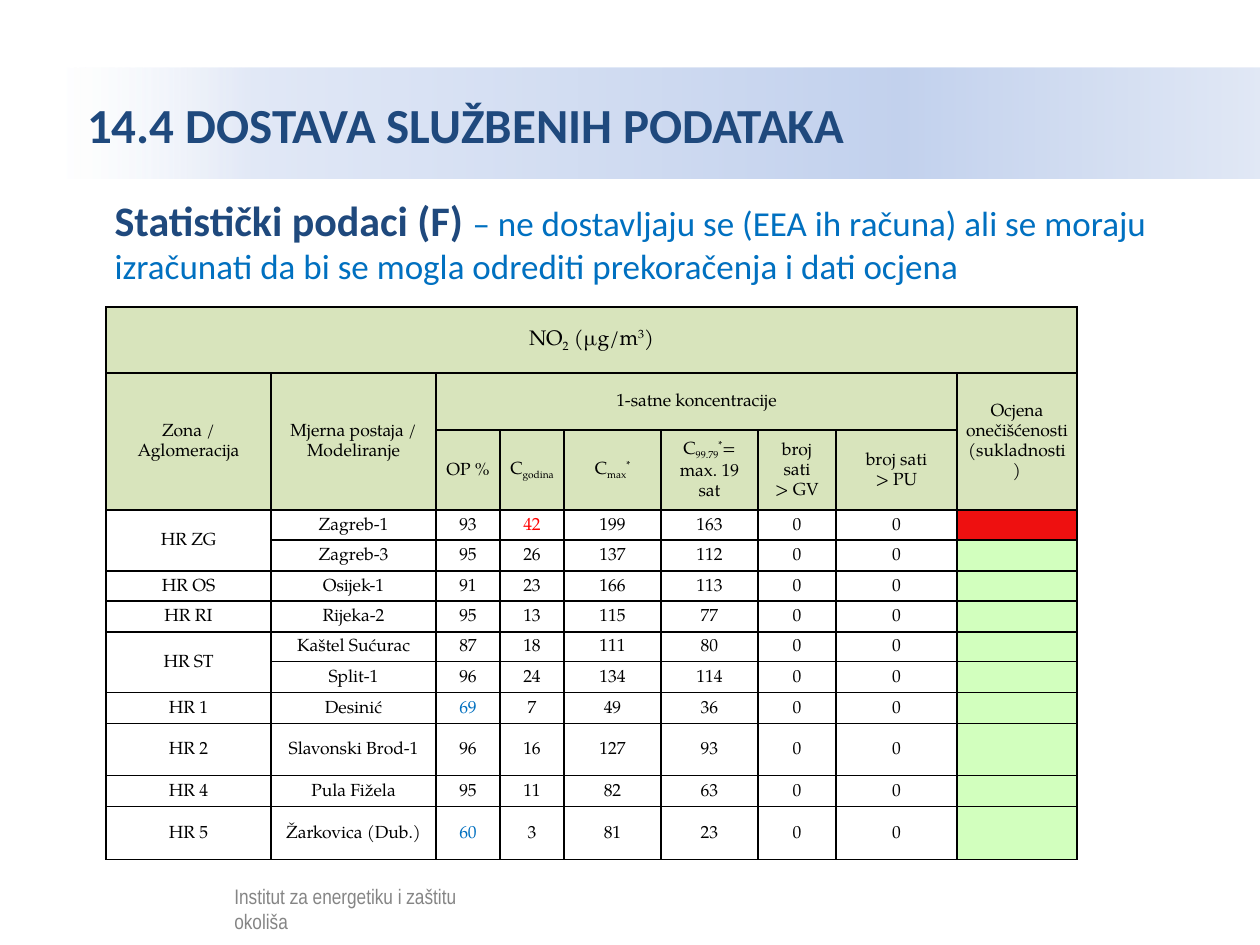
from typing import NamedTuple

import lxml.etree
import pptx
import pptx.dml.color
import pptx.enum.shapes
import pptx.enum.text
import pptx.oxml.ns
import pptx.table
import pptx.util

PX = 914400 / 126
SERIF = "TeX Gyre Pagella"
SUB, SUPER = -25000, 30000
MIN_COVERAGE, ANNUAL_LIMIT = 75, 40
COLORS = {
    "navy": "1F497D", "blue": "0070C0", "black": "000000", "red": "FF0000",
    "white": "FFFFFF", "header": "D8E4BC", "good": "D2FFBE", "bad": "EE1010",
    "band_light": "E1E8F6", "band_mid": "C2D1ED", "band_end": "E1E8F5",
}
BAND = [(0, "white", 52), (16, "band_light", 100),
        (70, "band_mid", 100), (100, "band_end", 100)]
COLS = [165, 165, 64, 64, 97, 97, 78, 121, 120]
ROWS = [66, 57, 80, 30, 31, 30, 31, 30, 31, 31, 52, 31, 53]


class Run(NamedTuple):
    text: str
    baseline: int = 0


class Header(NamedTuple):
    row: int
    col: int
    runs: list[Run]
    rows: int = 1
    cols: int = 1
    size: int = 10


class Station(NamedTuple):
    zone: str
    name: str
    coverage: int
    mean: int
    peak: int
    percentile: int
    span: int = 1


HEADERS = [
    Header(0, 0, [Run("NO"), Run("2", SUB), Run(" (µg/m"), Run("3", SUPER), Run(")")],
           cols=9, size=12),
    Header(1, 0, [Run("Zona / Aglomeracija")], rows=2),
    Header(1, 1, [Run("Mjerna postaja / Modeliranje")], rows=2),
    Header(1, 2, [Run("1-satne koncentracije")], cols=6),
    Header(1, 8, [Run("Ocjena\nonečišćenosti\n(sukladnosti)")], rows=2),
    Header(2, 2, [Run("OP %")]),
    Header(2, 3, [Run("C"), Run("godina", SUB)]),
    Header(2, 4, [Run("C"), Run("max", SUB), Run("*", SUPER)]),
    Header(2, 5, [Run("C"), Run("99.79", SUB), Run("*", SUPER), Run("=\nmax. 19 sat")]),
    Header(2, 6, [Run("broj sati\n> GV")]),
    Header(2, 7, [Run("broj sati\n> PU")]),
]
STATIONS = [
    Station("HR ZG", "Zagreb-1", 93, 42, 199, 163, 2),
    Station("", "Zagreb-3", 95, 26, 137, 112),
    Station("HR OS", "Osijek-1", 91, 23, 166, 113),
    Station("HR RI", "Rijeka-2", 95, 13, 115, 77),
    Station("HR ST", "Kaštel Sućurac", 87, 18, 111, 80, 2),
    Station("", "Split-1", 96, 24, 134, 114),
    Station("HR 1", "Desinić", 69, 7, 49, 36),
    Station("HR 2", "Slavonski Brod-1", 96, 16, 127, 93),
    Station("HR 4", "Pula Fižela", 95, 11, 82, 63),
    Station("HR 5", "Žarkovica (Dub.)", 60, 3, 81, 23),
]


def px(n: int) -> int:
    return round(n * PX)


def rgb(name: str) -> pptx.dml.color.RGBColor:
    return pptx.dml.color.RGBColor.from_string(COLORS[name])


def sub(parent, tag: str, **attrs):
    return lxml.etree.SubElement(parent, pptx.oxml.ns.qn(tag), attrs)


def place(sp, left: int, top: int, width: int, height: int) -> None:
    sp.left, sp.top, sp.width, sp.height = map(px, (left, top, width, height))


def style(r, font: str, size: int, color: str, bold: bool = False) -> None:
    r.font.name, r.font.size, r.font.bold = font, pptx.util.Pt(size), bold
    r.font.color.rgb = rgb(color)


def draw_title(sp) -> None:
    place(sp, 63, 68, 1197, 111)
    sp.fill.gradient()
    sp.fill.gradient_angle = 0
    stops = sp.fill._xPr.find(".//" + pptx.oxml.ns.qn("a:gsLst"))
    stops[:] = []
    for pos, color, alpha in BAND:
        clr = sub(sub(stops, "a:gs", pos=str(pos * 1000)), "a:srgbClr", val=COLORS[color])
        sub(clr, "a:alpha", val=str(alpha * 1000))
    tf = sp.text_frame
    tf.text = "14.4 DOSTAVA SLUŽBENIH PODATAKA"
    tf.auto_size = pptx.enum.text.MSO_AUTO_SIZE.NONE
    tf.vertical_anchor = pptx.enum.text.MSO_ANCHOR.MIDDLE
    tf.margin_left = px(24)
    p = tf.paragraphs[0]
    p.alignment = pptx.enum.text.PP_ALIGN.LEFT
    style(p.runs[0], "Calibri", 28, "navy", True)


def draw_body(sp) -> None:
    place(sp, 39, 188, 1177, 113)
    tf = sp.text_frame
    tf.auto_size = pptx.enum.text.MSO_AUTO_SIZE.NONE
    p = tf.paragraphs[0]
    p.level = 1
    pPr = p._p.get_or_add_pPr()
    pPr.set("marL", str(px(63)))
    pPr.set("indent", "0")
    sub(pPr, "a:buNone")
    p.space_before = pptx.util.Pt(0)
    p.text = "Statistički podaci (F) "
    style(p.runs[0], "Calibri", 24, "navy", True)
    r = p.add_run()
    r.text = ("– ne dostavljaju se (EEA ih računa) ali se moraju izračunati "
              "da bi se mogla odrediti prekoračenja i dati ocjena")
    style(r, "Calibri", 20, "blue")


def draw_footer(s) -> None:
    group = s.shapes.add_group_shape()
    box = group.shapes.add_textbox(px(222), px(877), px(263), px(32))
    tf = box.text_frame
    tf.word_wrap = True
    tf.text = "Institut za energetiku i zaštitu okoliša"
    style(tf.paragraphs[0].runs[0], "Arial Narrow", 12, "black")
    veil = group.shapes.add_shape(pptx.enum.shapes.MSO_SHAPE.RECTANGLE,
                                  px(52), px(873), px(481), px(60))
    veil.shadow.inherit = False
    veil.line.fill.background()
    veil.fill.solid()
    veil.fill.fore_color.rgb = rgb("white")
    sub(veil.fill._xPr.find(".//" + pptx.oxml.ns.qn("a:srgbClr")), "a:alpha", val="52000")


def prepare_cell(cell: pptx.table._Cell) -> None:
    tcPr = cell._tc.get_or_add_tcPr()
    for side in ("a:lnL", "a:lnR", "a:lnT", "a:lnB"):
        ln = sub(tcPr, side, w="12700")
        sub(sub(ln, "a:solidFill"), "a:srgbClr", val=COLORS["black"])
    cell.fill.background()
    cell.margin_left = cell.margin_right = px(9)
    cell.margin_top = cell.margin_bottom = 0
    cell.vertical_anchor = pptx.enum.text.MSO_ANCHOR.MIDDLE
    sub(cell.text_frame.paragraphs[0]._p, "a:endParaRPr", sz="1000")


def paint(cell: pptx.table._Cell, color: str) -> None:
    cell.fill.solid()
    cell.fill.fore_color.rgb = rgb(color)


def write(cell: pptx.table._Cell, runs: list[Run], size: int = 10, color: str = "black") -> None:
    p = cell.text_frame.paragraphs[0]
    p.alignment = pptx.enum.text.PP_ALIGN.CENTER
    p.line_spacing = 1.15
    for run in runs:
        for i, line in enumerate(run.text.split("\n")):
            if i:
                p.add_line_break()
            r = p.add_run()
            r.text = line
            style(r, SERIF, size, color)
            if run.baseline:
                r._r.get_or_add_rPr().set("baseline", str(run.baseline))


def draw_table(s) -> None:
    frame = s.shapes.add_table(len(ROWS), len(COLS), px(106), px(307),
                               px(sum(COLS)), px(sum(ROWS)))
    table = frame.table
    table.first_row = table.horz_banding = False
    for col, width in zip(table.columns, COLS):
        col.width = px(width)
    for row, height in zip(table.rows, ROWS):
        row.height = px(height)
    for cell in table.iter_cells():
        prepare_cell(cell)
    for h in HEADERS:
        cell = table.cell(h.row, h.col)
        if h.rows * h.cols > 1:
            cell.merge(table.cell(h.row + h.rows - 1, h.col + h.cols - 1))
        paint(cell, "header")
        write(cell, h.runs, h.size)
    for row, st in enumerate(STATIONS, 3):
        if st.span > 1:
            table.cell(row, 0).merge(table.cell(row + st.span - 1, 0))
        colors = {2: "blue" if st.coverage < MIN_COVERAGE else "black",
                  3: "red" if st.mean > ANNUAL_LIMIT else "black"}
        values = (st.zone, st.name, st.coverage, st.mean, st.peak, st.percentile, 0, 0)
        for col, value in enumerate(values):
            if value != "":
                write(table.cell(row, col), [Run(str(value))], color=colors.get(col, "black"))
        paint(table.cell(row, 8), "bad" if st.mean > ANNUAL_LIMIT else "good")


def main() -> None:
    prs = pptx.Presentation()
    prs.slide_width, prs.slide_height = px(1260), px(945)
    s = prs.slides.add_slide(prs.slide_layouts[1])
    draw_title(s.shapes.title)
    draw_body(s.placeholders[1])
    draw_footer(s)
    draw_table(s)
    prs.save("out.pptx")


if __name__ == "__main__":
    main()
